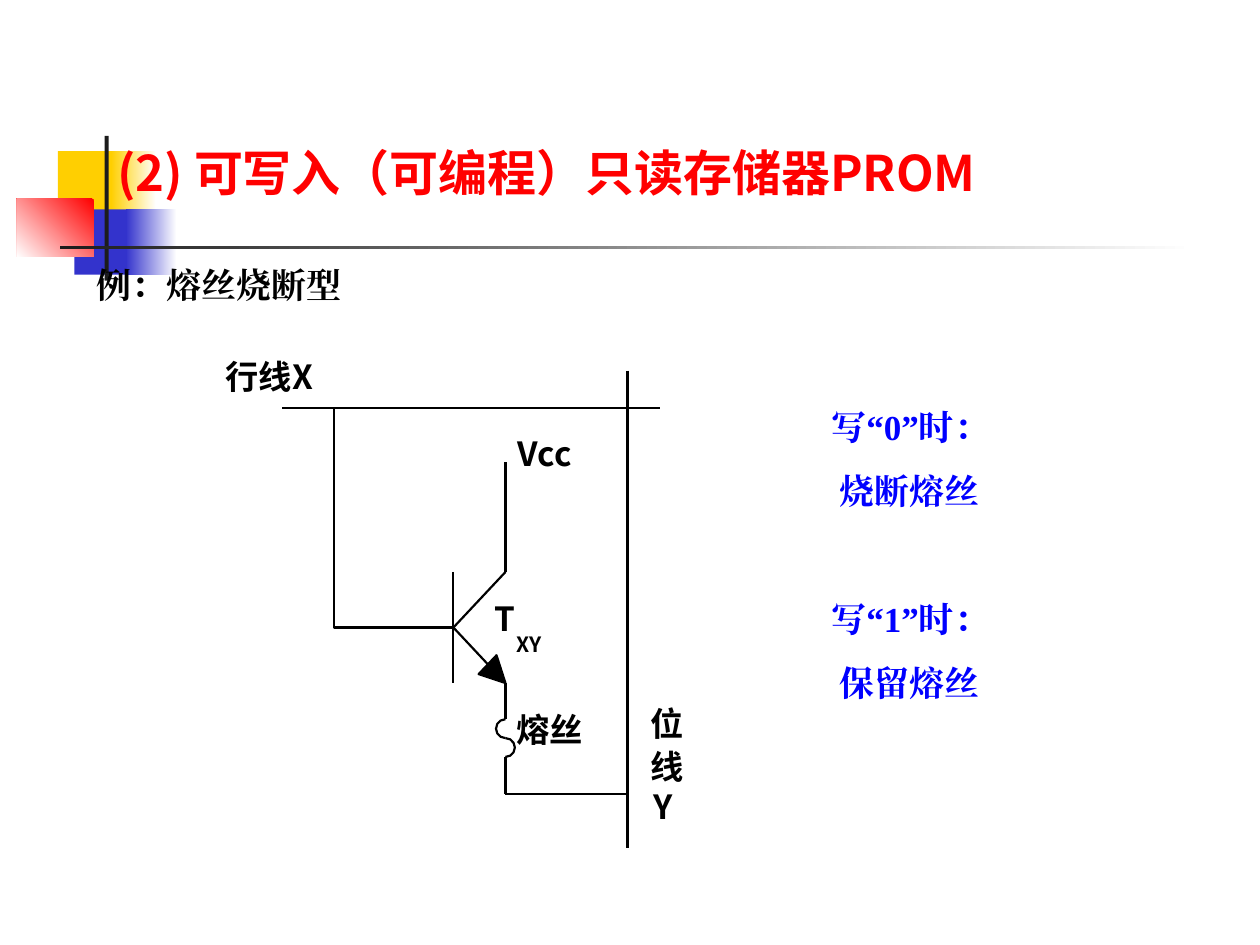
"""Build the slide on fuse-type PROM cells."""
import math
from dataclasses import dataclass

import lxml.etree
import pptx
import pptx.dml.color
import pptx.enum.shapes
import pptx.enum.text
import pptx.oxml.ns
import pptx.util

Cm = pptx.util.Cm
Pt = pptx.util.Pt
SANS = "Noto Sans CJK SC"
SERIF = "Times New Roman"
BLACK = "000000"
WHITE = "FFFFFF"
BLUE = "0000FF"


@dataclass
class Block:
    left: float
    top: float
    width: float
    height: float
    first: str
    last: str = ""
    angle: int = 180


@dataclass
class Line:
    text: str
    before: float = 0
    indent: float = 0


@dataclass
class Label:
    left: float
    top: float
    width: float
    height: float
    lines: list[Line]
    size: float = 19
    font: str = SANS
    color: str = BLACK
    inset: bool = False


def paint(target, code: str) -> None:
    target.rgb = pptx.dml.color.RGBColor.from_string(code)


def fill_solid(shape, code: str) -> None:
    shape.fill.solid()
    paint(shape.fill.fore_color, code)


def draw_block(shapes, block: Block) -> None:
    shape = shapes.add_shape(
        pptx.enum.shapes.MSO_SHAPE.RECTANGLE,
        Cm(block.left), Cm(block.top), Cm(block.width), Cm(block.height))
    shape.shadow.inherit = False
    shape.line.fill.background()
    if not block.last:
        fill_solid(shape, block.first)
        return
    shape.fill.gradient()
    shape.fill.gradient_angle = block.angle
    for stop, code in zip(shape.fill.gradient_stops, (block.first, block.last)):
        paint(stop.color, code)


def ink(shape) -> None:
    shape.line.width = Pt(1.25)
    paint(shape.line.color, BLACK)


def draw_wire(shapes, x1: float, y1: float, x2: float, y2: float) -> None:
    wire = shapes.add_connector(
        pptx.enum.shapes.MSO_CONNECTOR.STRAIGHT, Cm(x1), Cm(y1), Cm(x2), Cm(y2))
    ink(wire)
    lxml.etree.SubElement(wire._element.spPr, pptx.oxml.ns.qn("a:effectLst"))


def draw_path(shapes, points: list[tuple[float, float]], closed: bool = False) -> None:
    start, *rest = [(Cm(x), Cm(y)) for x, y in points]
    pen = shapes.build_freeform(*start)
    pen.add_line_segments(rest, close=closed)
    shape = pen.convert_to_shape()
    shape.shadow.inherit = False
    ink(shape)
    if closed:
        fill_solid(shape, BLACK)
    else:
        shape.fill.background()


def draw_arc(shapes, x: float, y: float, radius: float, side: int) -> None:
    turns = [math.pi * step / 6 for step in range(7)]
    draw_path(shapes, [(x + side * radius * math.sin(turn),
                        y - radius * math.cos(turn)) for turn in turns])


def draw_label(shapes, label: Label) -> None:
    box = shapes.add_textbox(
        Cm(label.left), Cm(label.top), Cm(label.width), Cm(label.height))
    frame = box.text_frame
    frame.word_wrap = label.inset
    frame.auto_size = pptx.enum.text.MSO_AUTO_SIZE.SHAPE_TO_FIT_TEXT
    if not label.inset:
        frame.margin_left = frame.margin_right = 0
        frame.margin_top = frame.margin_bottom = 0
    frame.text = "\n".join(line.text for line in label.lines)
    for para, line in zip(frame.paragraphs, label.lines):
        para.space_before = Pt(line.before)
        if line.indent:
            para._p.get_or_add_pPr().set("marL", str(Cm(line.indent)))
        for run in para.runs:
            run.font.size = Pt(label.size)
            run.font.bold = True
            paint(run.font.color, label.color)
            run.font.name = label.font
            east = lxml.etree.SubElement(
                run._r.get_or_add_rPr(), pptx.oxml.ns.qn("a:ea"))
            east.set("typeface", label.font)


BLOCKS = [
    Block(1.17, 3.05, 1.22, 1.32, "FFCF01"),
    Block(2.24, 3.05, 0.91, 1.32, WHITE, "FFCF01"),
    Block(1.5, 4.22, 1.17, 1.32, "3333CC"),
    Block(2.54, 4.22, 1.02, 1.32, WHITE, "3333CC"),
    Block(0.34, 4.01, 1.55, 1.17, "FF0000", WHITE, 225),
    Block(2.11, 2.74, 0.08, 2.92, "1C1C1C"),
    Block(1.22, 4.95, 22.86, 0.08, WHITE, "1C1C1C"),
]
TEXTS = [
    Label(2.11, 2.74, 20.52, 1.45, [Line("(2) 可写入（可编程）只读存储器PROM")],
          28, SANS, "FF0000", True),
    Label(1.7, 5.18, 5.87, 1.12, [Line("例：熔丝烧断型")], 20, SERIF, BLACK, True),
    Label(16.51, 8.05, 7.19, 7.54,
          [Line("写“0”时："), Line("烧断熔丝", 12.5, 0.16),
           Line("写“1”时：", 49), Line("保留熔丝", 12.5, 0.16)],
          20, SERIF, BLUE, True),
]
ROW, BIT, BASE, EMIT, FEED = 8.22, 12.65, 9.14, 10.19, 6.73
HIGH, MID, LOW = 11.53, 12.65, 13.77
FUSE, END, FOOT = 14.5, 15.26, 16
WIRES = [
    (5.69, ROW, 13.31, ROW),
    (BASE, HIGH, BASE, LOW),
    (EMIT, HIGH, BASE, MID),
    (EMIT, 9.32, EMIT, HIGH),
    (BASE, MID, 9.88, 13.44),
    (EMIT, LOW, EMIT, FUSE),
    (EMIT, END, EMIT, FOOT),
    (EMIT, FOOT, BIT, FOOT),
    (BIT, 7.47, BIT, 17.09),
]
MARKS = [
    Label(4.55, 7.19, 1.93, 0.81, [Line("行线X")]),
    Label(13.11, 14.17, 0.66, 0.81, [Line("位")]),
    Label(13.11, 15.04, 0.66, 0.81, [Line("线")]),
    Label(13.18, 15.85, 0.41, 0.81, [Line("Y")]),
    Label(10.44, 8.74, 1.12, 0.81, [Line("Vcc")]),
    Label(9.96, 12.07, 0.38, 0.81, [Line("T")]),
    Label(10.41, 12.73, 0.56, 0.51, [Line("XY")], 12),
    Label(10.41, 14.3, 1.35, 0.81, [Line("熔丝")]),
]


def main() -> None:
    deck = pptx.Presentation()
    deck.slide_width, deck.slide_height = Cm(25.4), Cm(19.05)
    shapes = deck.slides.add_slide(deck.slide_layouts[6]).shapes
    for block in BLOCKS:
        draw_block(shapes, block)
    for text in TEXTS:
        draw_label(shapes, text)
    cell = shapes.add_group_shape().shapes
    for wire in WIRES:
        draw_wire(cell, *wire)
    draw_path(cell, [(FEED, ROW), (FEED, MID), (BASE, MID)])
    draw_path(cell, [(10.01, 13.21), (EMIT, LOW), (9.65, 13.59)], True)
    radius = (END - FUSE) / 4
    draw_arc(cell, EMIT, FUSE + radius, radius, -1)
    draw_arc(cell, EMIT, END - radius, radius, 1)
    for mark in MARKS:
        draw_label(cell, mark)
    deck.save("out.pptx")


if __name__ == "__main__":
    main()
